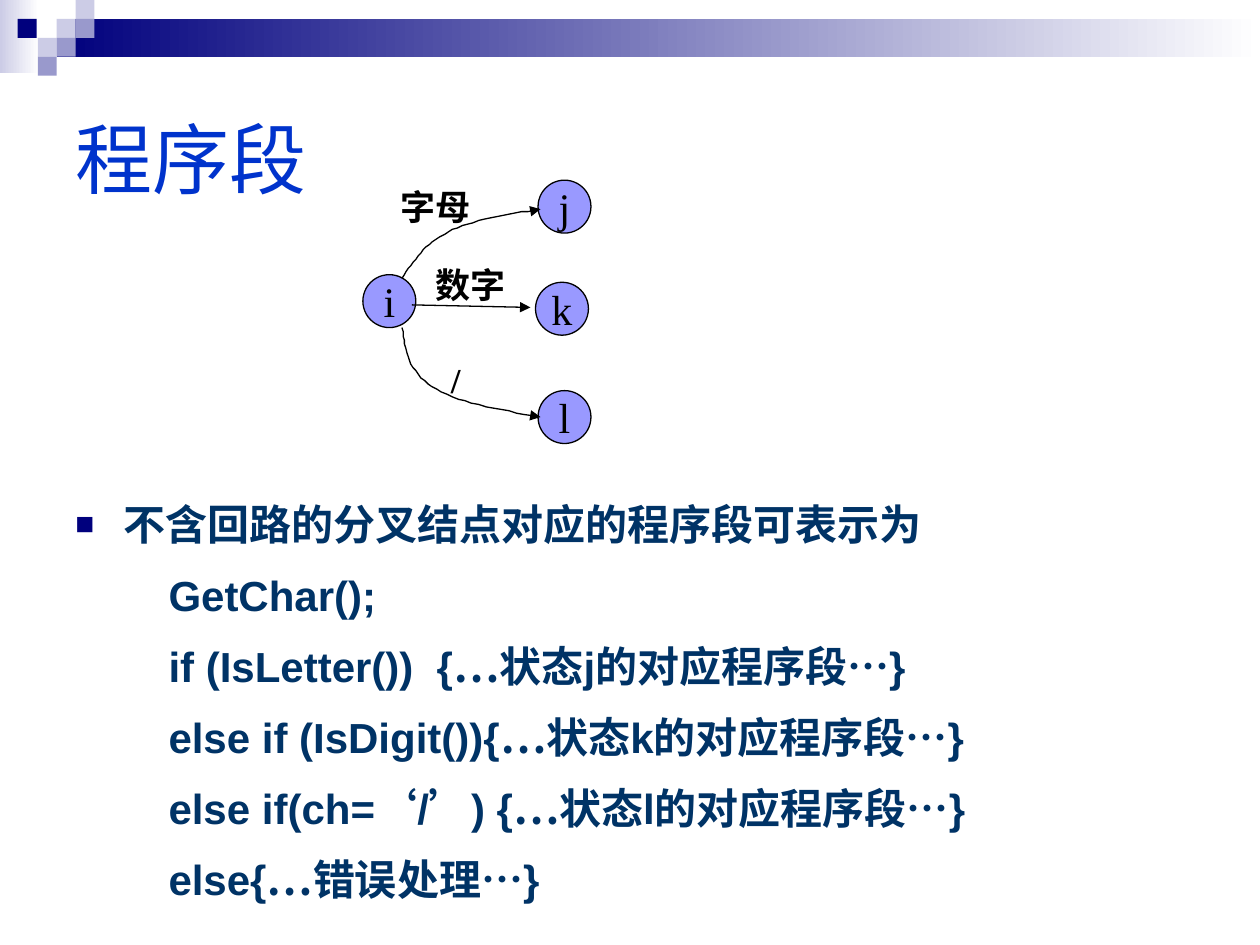
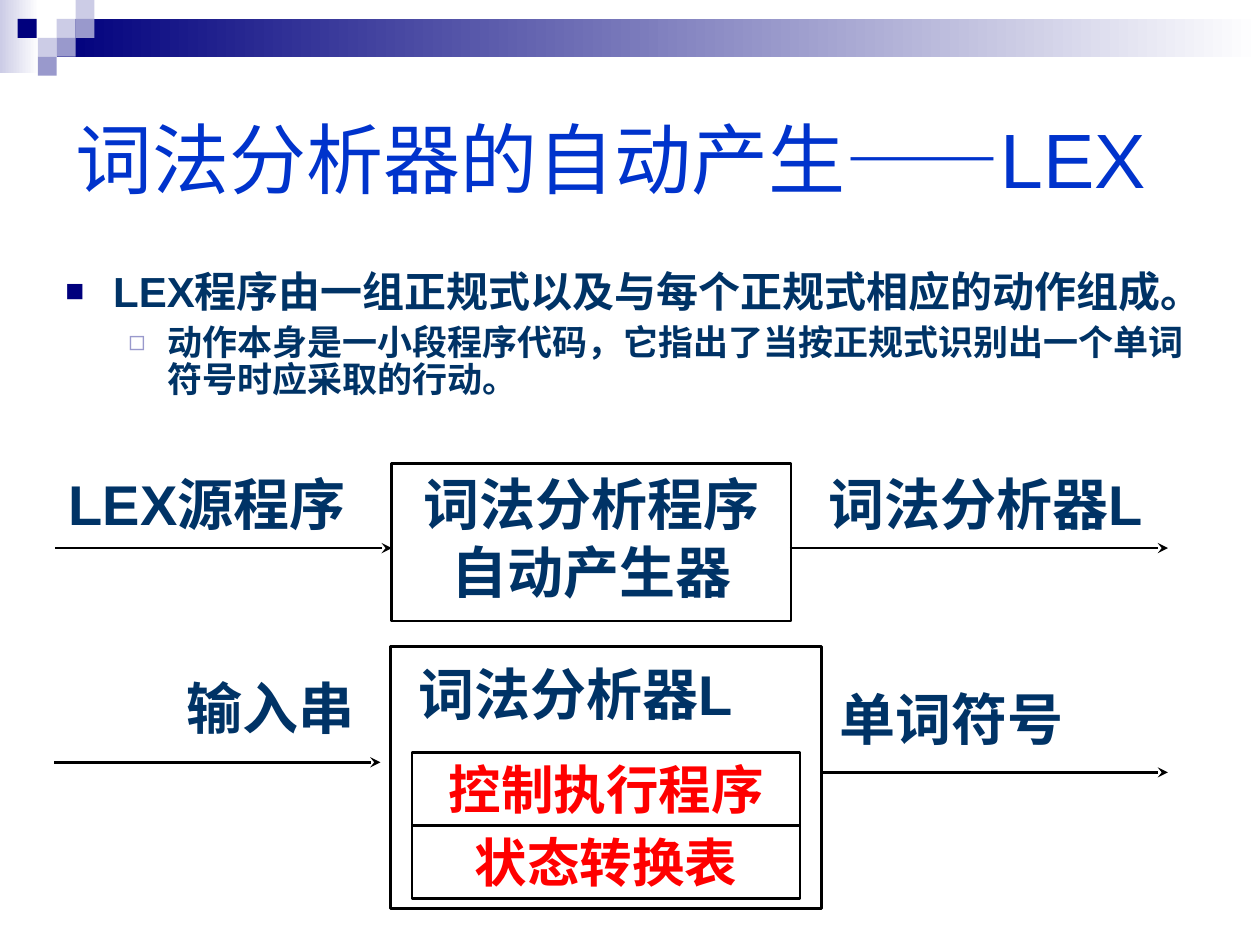
import itertools
from dataclasses import dataclass

import pptx
import pptx.util
import pptx.dml.color
import pptx.enum.shapes
import pptx.enum.text
import pptx.oxml
import pptx.oxml.ns

PX = 9144  # EMU per px, 100 px to the inch
SHAPE = pptx.enum.shapes.MSO_SHAPE
ALIGN = pptx.enum.text.PP_ALIGN
ANCHOR = pptx.enum.text.MSO_ANCHOR


@dataclass(frozen=True)
class Theme:
    sans: str = "Arial"
    serif: str = "Times New Roman"
    han: str = "Noto Sans CJK SC"
    title: str = "0033CC"
    text: str = "003366"
    navy: str = "00007D"
    mid: str = "9999CC"
    pale: str = "CCCCE6"
    white: str = "FFFFFF"
    node: str = "9999FF"
    black: str = "000000"
    red: str = "FF0000"
    head: int = 44
    big: int = 32
    inner: int = 30
    body: int = 24
    small: int = 20
    thin: float = 0.75
    thick: float = 1.5


T = Theme()


def rgb(hue):
    return pptx.dml.color.RGBColor.from_string(hue)


def px(*sizes):
    return [pptx.util.Emu(round(size * PX)) for size in sizes]


def add_xml(parent, tag, **attrs):
    child = pptx.oxml.parse_xml(f'<a:{tag} {pptx.oxml.ns.nsdecls("a")}/>')
    for key, value in attrs.items():
        child.set(key, value)
    parent.append(child)
    return child


def add_run(para, text, size, hue, bold=False, font=T.sans):
    run = para.add_run()
    run.text = text
    run.font.size = pptx.util.Pt(size)
    run.font.bold = bold
    run.font.name = font
    run.font.color.rgb = rgb(hue)
    add_xml(run.font._element, "ea", typeface=T.han)


def add_code(para, text):
    """Wide marks take the Han font, the rest the sans font."""
    for wide, chars in itertools.groupby(text, lambda char: char in "…‘’"):
        add_run(para, "".join(chars), T.body, T.text, True, T.han if wide else T.sans)


def set_para(para, left, first, space, before=0, bullet=None):
    props = para._p.get_or_add_pPr()
    props.set("marL", str(left * PX))
    props.set("indent", str(first * PX))
    if bullet:
        mark, hue, part = bullet
        add_xml(add_xml(props, "buClr"), "srgbClr", val=hue)
        add_xml(props, "buSzPct", val=str(part * 1000))
        add_xml(props, "buFont", typeface=T.sans)
        add_xml(props, "buChar", char=mark)
    para.line_spacing = space
    para.space_before = pptx.util.Pt(before)


def add_box(slide, kind, box, fill=None, line=None):
    shape = slide.shapes.add_shape(kind, *px(*box))
    shape.shadow.inherit = False
    if fill:
        shape.fill.solid()
        shape.fill.fore_color.rgb = rgb(fill)
    else:
        shape.fill.background()
    if line:
        shape.line.color.rgb = rgb(T.black)
        shape.line.width = pptx.util.Pt(line)
    else:
        shape.line.fill.background()
    return shape


def put_text(shape, text, size, hue, bold=True, font=T.sans, wrap=True,
             align=ALIGN.CENTER, anchor=ANCHOR.TOP):
    frame = shape.text_frame
    frame.word_wrap = wrap
    frame.vertical_anchor = anchor
    para = frame.paragraphs[0]
    para.alignment = align
    add_run(para, text, size, hue, bold, font)


def add_label(slide, box, text, size=T.big, hue=T.text, **style):
    put_text(slide.shapes.add_textbox(*px(*box)), text, size, hue, **style)


def add_head(shape, kind):
    line = shape.line
    line.color.rgb = rgb(T.black)
    add_xml(line._get_or_add_ln(), "tailEnd", type=kind, w="med", len="med")


def add_arrow(slide, start, end, width, kind):
    line = slide.shapes.add_connector(
        pptx.enum.shapes.MSO_CONNECTOR.STRAIGHT, *px(*start, *end))
    line.line.width = pptx.util.Pt(width)
    add_head(line, kind)
    add_xml(line._element.spPr, "effectLst")


def add_curve(slide, left, top, knots, steps=16):
    """Draw joined cubic curves as one open outline."""
    points = []
    for first in range(0, len(knots) - 1, 3):
        a, b, c, d = knots[first:first + 4]
        for step in range(1, steps + 1):
            t = step / steps
            u = 1 - t
            points.append(tuple(
                origin + u**3 * p + 3 * u * u * t * q + 3 * u * t * t * r + t**3 * s
                for origin, p, q, r, s in zip((left, top), a, b, c, d)))
    pen = slide.shapes.build_freeform(left + knots[0][0], top + knots[0][1], scale=PX)
    pen.add_line_segments(points, close=False)
    curve = pen.convert_to_shape()
    curve.shadow.inherit = False
    curve.fill.background()
    curve.line.width = pptx.util.Pt(T.thin)
    add_head(curve, "triangle")


def add_band(slide):
    # Fading bars
    for box, hue in (((0, 0, 31, 58), T.pale), ((45, 15, 955, 30), T.navy)):
        bar = add_box(slide, SHAPE.RECTANGLE, box, T.white)
        bar.fill.gradient()
        bar.fill.gradient_angle = 0
        for stop, tint, place in zip(bar.fill.gradient_stops, (hue, T.white), (0, 1)):
            stop.color.rgb = rgb(tint)
            stop.position = place
    # Small squares
    for left, top, hue in ((45, 15, T.pale), (60, 0, T.pale), (60, 15, T.mid),
                           (30, 30, T.pale), (14, 15, T.navy), (45, 30, T.mid),
                           (30, 45, T.mid)):
        add_box(slide, SHAPE.RECTANGLE, (left, top, 15, 15), hue)


def add_slide(deck, text):
    slide = deck.slides.add_slide(deck.slide_layouts[5])
    add_band(slide)
    title = slide.shapes.title
    title.left, title.top, title.width, title.height = px(50, 50, 900, 150)
    title.text_frame.auto_size = pptx.enum.text.MSO_AUTO_SIZE.NONE
    put_text(title, text, T.head, T.title, False, align=ALIGN.LEFT, anchor=ANCHOR.MIDDLE)
    return slide


def draw_graph(slide, left, top):
    # States
    for name, x, y in (("i", 0, 76), ("j", 139, 1), ("k", 137, 82), ("l", 139, 168)):
        node = add_box(slide, SHAPE.OVAL, (left + x, top + y, 42, 42), T.node, T.thin)
        put_text(node, name, T.body, T.black, False, T.serif, False,
                 anchor=ANCHOR.MIDDLE)
    # Moves
    add_arrow(slide, (left + 39, top + 100), (left + 133, top + 102), T.thin, "triangle")
    add_curve(slide, left, top, [(31, 79), (40, 65), (49, 51), (68, 42),
                                 (86, 33), (114, 28), (141, 24)])
    add_curve(slide, left, top, [(31, 118), (34, 136), (36, 153), (55, 165),
                                 (73, 177), (107, 183), (141, 189)])
    # Inputs
    for text, x, y, width in (("字母", 20, 0, 90), ("数字", 48, 62, 87), ("/", 60, 138, 42)):
        add_label(slide, (left + x, top + y, width, 44), text, T.small, T.black,
                  font=T.serif, align=ALIGN.LEFT)


def draw_code(slide, box):
    frame = slide.shapes.add_textbox(*px(*box)).text_frame
    frame.word_wrap = True
    para = frame.paragraphs[0]
    set_para(para, 38, -38, 1.2, bullet=("■", T.navy, 75))
    add_code(para, "不含回路的分叉结点对应的程序段可表示为")
    for line in ("GetChar();",
                 "if (IsLetter())  {…状态j的对应程序段…}",
                 "else if (IsDigit()){…状态k的对应程序段…}",
                 "else if(ch=‘/’) {…状态l的对应程序段…}",
                 "else{…错误处理…}"):
        para = frame.add_paragraph()
        set_para(para, 38, -38, 1.2, 6)
        add_code(para, "        " + line)


def draw_points(slide, box):
    frame = slide.shapes.add_textbox(*px(*box)).text_frame
    frame.word_wrap = True
    para = frame.paragraphs[0]
    set_para(para, 38, -38, 0.9, bullet=("■", T.navy, 75))
    add_run(para, "LEX程序由一组正规式以及与每个正规式相应的动作组成。", T.body, T.text, True)
    para = frame.add_paragraph()
    set_para(para, 81, -31, 0.9, 5, ("◻", T.mid, 80))
    add_run(para, "动作本身是一小段程序代码，它指出了当按正规式识别出一个单词符号时应采取的行动。",
            T.small, T.text, True)


def draw_maker(slide, left, top):
    maker = add_box(slide, SHAPE.RECTANGLE, (left + 284, top, 317, 125), line=T.thick)
    put_text(maker, "词法分析程序自动产生器", T.big, T.text)
    add_label(slide, (left, top, 275, 67), "LEX源程序")
    add_label(slide, (left + 584, top, 342, 67), "词法分析器L")
    for start, end in ((17, 284), (600, 900)):
        add_arrow(slide, (left + start, top + 67), (left + end, top + 67),
                  T.thick, "stealth")


def draw_lexer(slide, left, top):
    # Outer box
    lexer = add_box(slide, SHAPE.RECTANGLE, (left + 267, top, 342, 208), line=T.thick)
    put_text(lexer, "词法分析器L", T.big, T.text, align=ALIGN.LEFT)
    lexer.text_frame.margin_left, = px(22)
    lexer.text_frame.paragraphs[0].line_spacing = 1.1
    # Inner parts
    for row, text in enumerate(("控制执行程序", "状态转换表")):
        part = add_box(slide, SHAPE.RECTANGLE,
                       (left + 284, top + 84 + 58 * row, 308, 58), line=T.thick)
        put_text(part, text, T.inner, T.red, wrap=False, anchor=ANCHOR.MIDDLE)
    # Input and output
    add_label(slide, (left + 34, top + 17, 275, 67), "输入串")
    add_label(slide, (left + 575, top + 25, 275, 67), "单词符号")
    for start, end, y in ((0, 259, 92), (609, 884, 100)):
        add_arrow(slide, (left + start, top + y), (left + end, top + y),
                  T.thick, "stealth")


def main():
    deck = pptx.Presentation()
    deck.slide_width, deck.slide_height = px(1000, 750)

    slide = add_slide(deck, "程序段")
    draw_code(slide, (50, 383, 900, 360))
    draw_graph(slide, 288, 142)

    slide = add_slide(deck, "词法分析器的自动产生——LEX")
    draw_maker(slide, 27, 368)
    draw_lexer(slide, 43, 513)
    draw_points(slide, (42, 210, 930, 143))

    deck.save("out.pptx")


if __name__ == "__main__":
    main()
